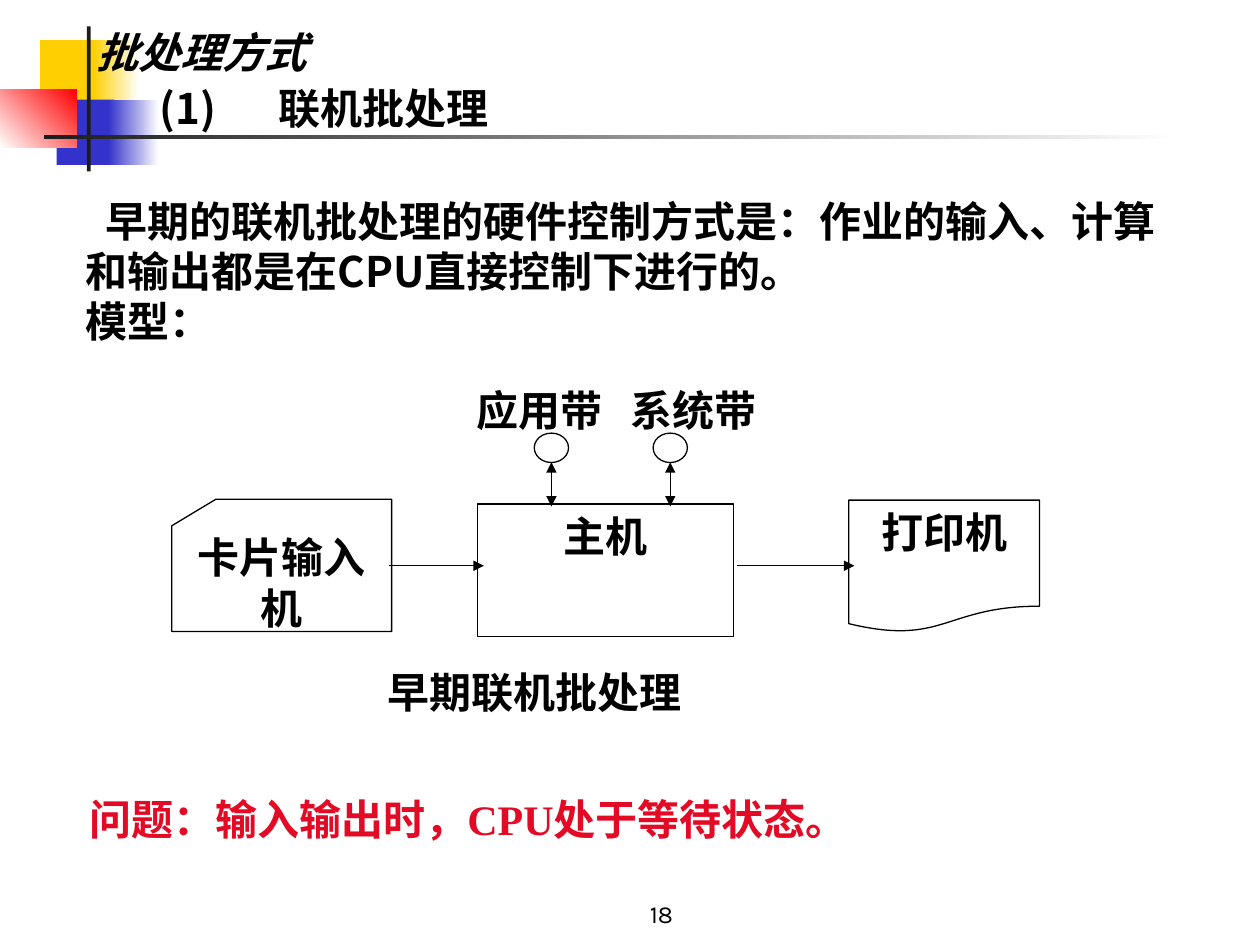
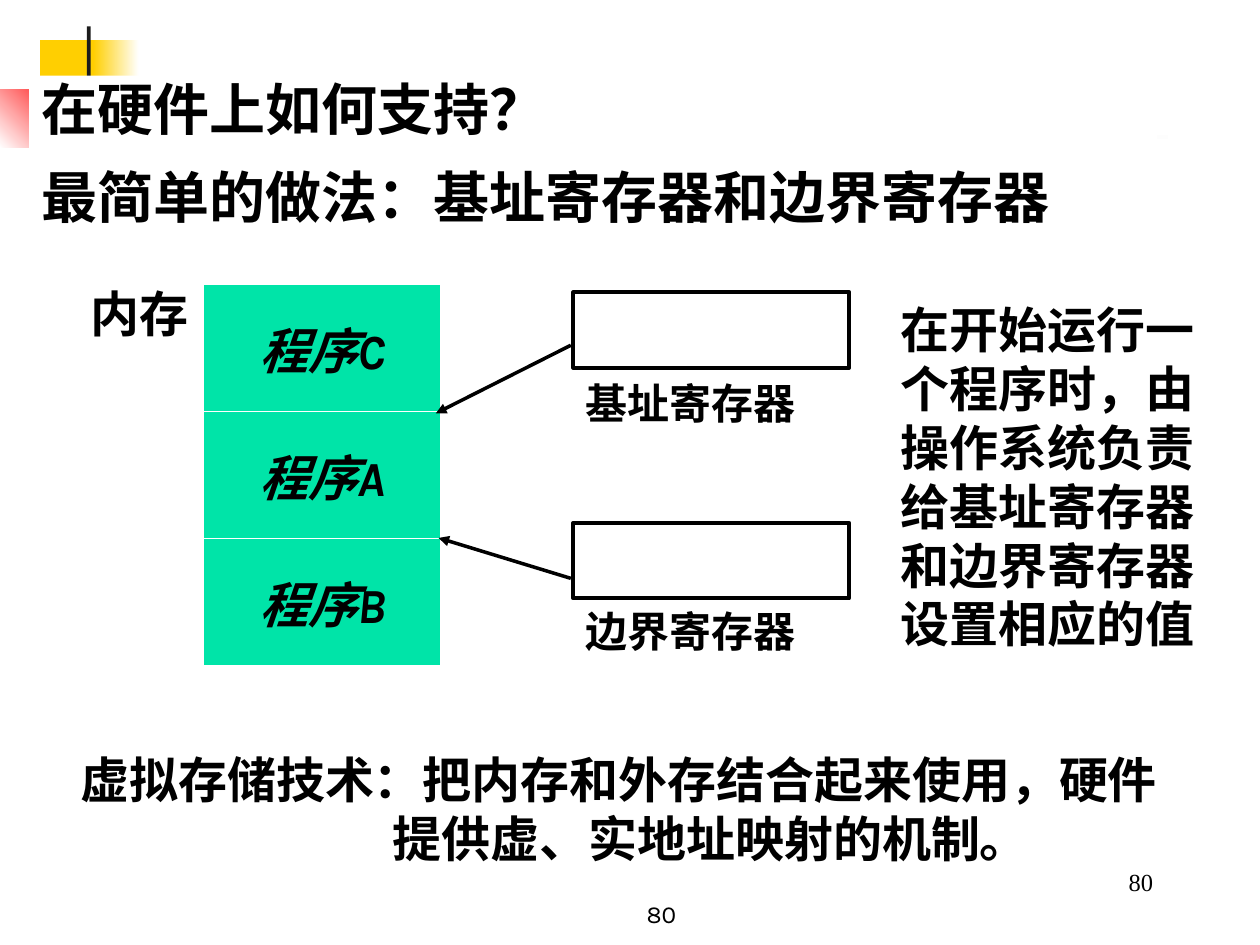
"""Build two slides on batch processing and on base and bound registers."""
import pptx
import pptx.util
import pptx.dml.color
import pptx.enum.shapes
import pptx.enum.text
import pptx.oxml
import pptx.oxml.ns

Pt = pptx.util.Pt
RGBColor = pptx.dml.color.RGBColor
KIND = pptx.enum.shapes.MSO_SHAPE
ALIGN = pptx.enum.text.PP_ALIGN
ANCHOR = pptx.enum.text.MSO_ANCHOR
qn = pptx.oxml.ns.qn
NS = pptx.oxml.ns.nsdecls("a")

BLACK = RGBColor(0x00, 0x00, 0x00)
WHITE = RGBColor(0xFF, 0xFF, 0xFF)
GOLD = RGBColor(0xFF, 0xCF, 0x01)
BLUE = RGBColor(0x33, 0x33, 0xCC)
RED = RGBColor(0xFF, 0x00, 0x00)
DARK = RGBColor(0x1C, 0x1C, 0x1C)
ALERT = RGBColor(0xE2, 0x0A, 0x24)
GREEN = RGBColor(0x00, 0xE4, 0xA8)
HAN = "Noto Sans CJK SC"
TIMES = "Times New Roman"
KARLA = "Karla"


def draw(slide, kind, at, fill=None, line=None, turn=0):
    """Add a shape; a pair of colours as fill makes a gradient."""
    shape = slide.shapes.add_shape(kind, *map(Pt, at))
    shape.shadow.inherit = False
    if fill is None:
        shape.fill.background()
    elif isinstance(fill, list):
        shape.fill.gradient()
        shape.fill.gradient_angle = turn
        for stop, tint in zip(shape.fill.gradient_stops, fill):
            stop.color.rgb = tint
    else:
        shape.fill.solid()
        shape.fill.fore_color.rgb = fill
    if line is None:
        shape.line.fill.background()
    else:
        shape.line.color.rgb = BLACK
        shape.line.width = Pt(line)
    return shape


def write(frame, lines, size, face=TIMES, align=ALIGN.LEFT, bold=True,
          color=BLACK, gap=0, space=1.0, indents=()):
    """Fill a text frame; each line is a string or a list of (text, face)."""
    frame.word_wrap = True
    for i, line in enumerate(lines):
        para = frame.paragraphs[0] if i == 0 else frame.add_paragraph()
        para.alignment = align
        para.line_spacing = space
        para.space_before = Pt(gap if i else 0)
        if i < len(indents):
            left, first = indents[i]
            props = para._p.get_or_add_pPr()
            props.set("marL", str(Pt(left)))
            props.set("indent", str(Pt(first)))
        if isinstance(line, str):
            para.text = line
        else:
            for text, name in line:
                run = para.add_run()
                run.text = text
                run.font.name = name
        para.font.size = Pt(size)
        para.font.bold = bold
        para.font.color.rgb = color
        para.font.name = face
        for font in para._p.iter(qn("a:defRPr"), qn("a:rPr")):
            font.append(pptx.oxml.parse_xml(f'<a:ea {NS} typeface="{HAN}"/>'))


deck = pptx.Presentation()
deck.slide_width = Pt(720)
deck.slide_height = Pt(540)
batch, memory = [deck.slides.add_slide(deck.slide_layouts[6]) for _ in range(2)]

for slide, page in ((batch, "18"), (memory, "80")):
    draw(slide, KIND.RECTANGLE, (23, 23, 34.5, 37.5), GOLD)
    draw(slide, KIND.RECTANGLE, (53.3, 23, 26, 37.5), [GOLD, WHITE])
    if slide == batch:
        draw(slide, KIND.RECTANGLE, (32.4, 56.9, 33, 37.4), BLUE)
        draw(slide, KIND.RECTANGLE, (62, 56.9, 28.8, 37.4), [BLUE, WHITE])
    draw(slide, KIND.RECTANGLE, (0, 51.1, 44, 33.1), [WHITE, RED], turn=45)
    draw(slide, KIND.RECTANGLE, (49.7, 15.1, 2.2, 82.8), DARK)
    draw(slide, KIND.RECTANGLE, (25.2, 77, 648, 2.2), [DARK, WHITE])
    box = slide.shapes.add_textbox(Pt(264), Pt(498), Pt(228), Pt(36))
    box.text_frame.vertical_anchor = ANCHOR.BOTTOM
    write(box.text_frame, [page], 14, KARLA, ALIGN.CENTER, bold=False)

head = batch.shapes.add_textbox(Pt(48.2), Pt(15.1), Pt(588), Pt(66)).text_frame
write(head, ["批处理方式", "(1)\t联机批处理"], 24, HAN, gap=6, space=0.9,
      indents=[(0, 0), (103.7, -67.7)])
head.paragraphs[0].font.italic = True

alert = [("问题：输入输出时，", HAN), ("CPU", TIMES), ("处于等待状态。", HAN)]
intro = ["早期的联机批处理的硬件控制方式是：作业的输入、计算和输出都是在CPU直接控制下进行的。",
         "模型："]
for lines, at, color, indents in (
        ([alert], (44, 450, 470, 36), ALERT, []),
        (intro, (41.8, 108, 642, 122), BLACK, [(0, 11.5)]),
        (["早期联机批处理"], (214.5, 377.3, 250, 37), BLACK, []),
        (["应用带"], (265, 216, 88, 50), BLACK, []),
        (["系统带"], (353.3, 216, 88, 50), BLACK, [])):
    box = batch.shapes.add_textbox(*map(Pt, at))
    write(box.text_frame, lines, 24, HAN, color=color, indents=indents)

for name, kind, at in (
        ("主机", KIND.RECTANGLE, (272.9, 288, 146.2, 75.6)),
        ("卡片输入机", KIND.FLOWCHART_CARD, (98.2, 285.3, 125.6, 75.6)),
        ("打印机", KIND.FLOWCHART_DOCUMENT, (485, 285.8, 109, 75.6))):
    unit = draw(batch, kind, at, line=0.75)
    unit.text_frame.vertical_anchor = ANCHOR.TOP
    write(unit.text_frame, [name], 24, align=ALIGN.CENTER)

arrows = [(batch, (222.5, 323.3), (276.5, 323.3), 0.75, False),
          (batch, (421.2, 323.3), (488.2, 323.3), 0.75, False),
          (memory, (326.2, 197.3), (249.1, 236.2), 2, False),
          (memory, (326.2, 330.5), (250.6, 307.4), 2, False)]
for mid in (315.1, 383):
    draw(batch, KIND.OVAL, (mid - 9.8, 247.5, 19.6, 16.8), line=0.75)
    arrows.append((batch, (mid, 264.2), (mid, 289.4), 0.75, True))

box = memory.shapes.add_textbox(Pt(516.2), Pt(491.8), Pt(149.8), Pt(36))
write(box.text_frame, ["80"], 14, align=ALIGN.RIGHT, bold=False)

title = draw(memory, KIND.RECTANGLE, (16.6, 43.2, 645, 92.9), WHITE)
title.text_frame.vertical_anchor = ANCHOR.TOP
write(title.text_frame, ["在硬件上如何支持？", "最简单的做法：基址寄存器和边界寄存器"],
      32, gap=16, space=0.9)

grid = memory.shapes.add_table(3, 1, Pt(116.2), Pt(162.4), Pt(136), Pt(218.2)).table
grid.first_row = False
grid.horz_banding = False
for i, name in enumerate("CAB"):
    cell = grid.cell(i, 0)
    cell.vertical_anchor = ANCHOR.MIDDLE
    write(cell.text_frame, ["程序" + name], 28, KARLA, ALIGN.CENTER)
    cell.text_frame.paragraphs[0].font.italic = True
    edges = {"L": 1.08, "R": 1.08, "T": 0.45 if i else 1.08, "B": 0.45 if i < 2 else 1.08}
    for side, width in edges.items():
        cell._tc.get_or_add_tcPr().append(pptx.oxml.parse_xml(
            f'<a:ln{side} {NS} w="{Pt(width)}"><a:solidFill>'
            f'<a:srgbClr val="{WHITE}"/></a:solidFill></a:ln{side}>'))
    cell.fill.solid()
    cell.fill.fore_color.rgb = GREEN

for top in (167, 298.8):
    draw(memory, KIND.RECTANGLE, (327.6, top, 157.7, 43.2), WHITE, line=2.25)

rule = "在开始运行一\v个程序时，由\v操作系统负责\v给基址寄存器\v和边界寄存器\v设置相应的值"
ends = ["虚拟存储技术：把内存和外存结合起来使用，硬件", "提供虚、实地址映射的机制。"]
for lines, at, size, indents in (
        (["内存"], (44.6, 158.4, 71, 41), 28, []),
        (["基址寄存器"], (327.6, 212.4, 140, 36), 24, []),
        (["边界寄存器"], (327.6, 342.7, 140, 36), 24, []),
        ([rule], (507.6, 167.8, 190, 208.8), 28, []),
        (ends, (38.9, 424.8, 640, 74.9), 28, [(0, 0), (178.5, 0)])):
    box = memory.shapes.add_textbox(*map(Pt, at))
    write(box.text_frame, lines, size, indents=indents)

for slide, start, end, width, both in arrows:
    link = slide.shapes.add_connector(pptx.enum.shapes.MSO_CONNECTOR.STRAIGHT,
                                      *map(Pt, start + end))
    link.line.color.rgb = BLACK
    link.line.width = Pt(width)
    for tip in (["headEnd"] if both else []) + ["tailEnd"]:
        link.line._get_or_add_ln().append(
            pptx.oxml.parse_xml(f'<a:{tip} {NS} type="triangle"/>'))
    link._element.spPr.append(pptx.oxml.parse_xml(f"<a:effectLst {NS}/>"))

deck.save("out.pptx")
